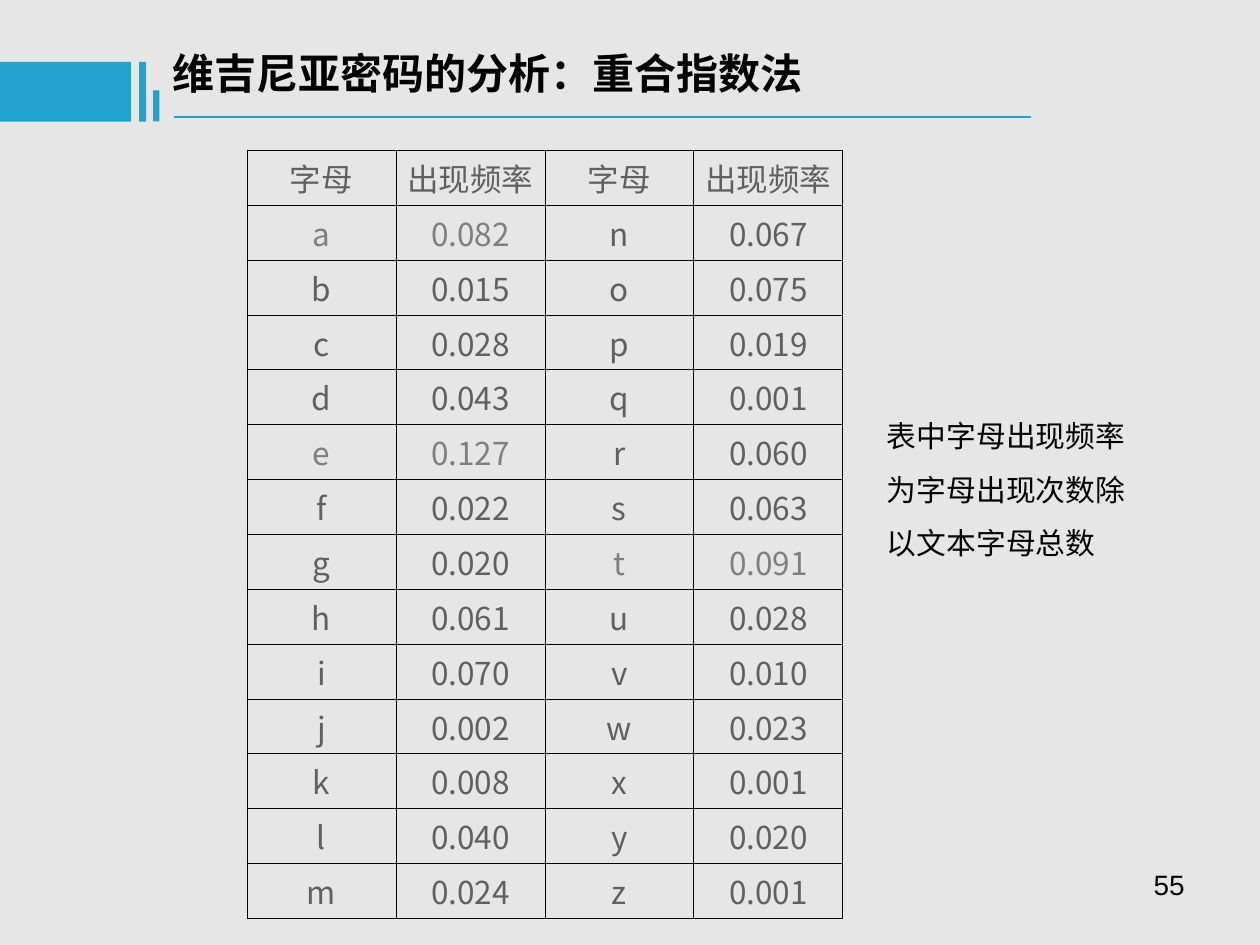
from dataclasses import dataclass

from lxml.etree import SubElement
from pptx import Presentation
from pptx.dml.color import RGBColor
from pptx.enum.shapes import MSO_CONNECTOR, MSO_SHAPE
from pptx.enum.text import MSO_ANCHOR, PP_ALIGN
from pptx.oxml.ns import qn
from pptx.util import Inches, Pt

W, H = Inches(10), Inches(7.5)
CJK, BLUE, BLACK = "Noto Sans CJK SC", "21A3D0", "000000"
GREY, LIGHT_GREY = "606060", "7F7F7F"
FREQUENT = 0.08
LETTERS = "abcdefghijklmnopqrstuvwxyz"
FREQUENCIES = (
    0.082, 0.015, 0.028, 0.043, 0.127, 0.022, 0.020, 0.061, 0.070, 0.002, 0.008, 0.040, 0.024,
    0.067, 0.075, 0.019, 0.001, 0.060, 0.063, 0.091, 0.028, 0.010, 0.023, 0.001, 0.020, 0.001,
)


@dataclass(frozen=True)
class Box:
    """Left, top, width and height in percent of the slide."""
    x: float
    y: float
    w: float
    h: float

    def emu(self) -> tuple:
        """Return the four lengths in EMU."""
        return tuple(int(v * full / 100) for v, full in
                     zip((self.x, self.y, self.w, self.h), (W, H, W, H)))


BARS = (Box(0, 6.56, 10.4, 6.33), Box(11.04, 6.56, 0.56, 6.33), Box(12.15, 9.56, 0.5, 3.3))


def rgb(color: str) -> RGBColor:
    """Turn a hex string into a colour."""
    return RGBColor.from_string(color)


def put_text(tf, text: str, *, size: float, font: str = CJK, color: str = BLACK,
             bold: bool = False, align=PP_ALIGN.LEFT, spacing: float = 1.0) -> None:
    """Write one formatted paragraph into a text frame."""
    p = tf.paragraphs[0]
    p.alignment, p.line_spacing = align, spacing
    r = p.add_run()
    r.text = text
    r.font.size, r.font.bold, r.font.name = Pt(size), bold, font
    r.font.color.rgb = rgb(color)
    SubElement(r.font._element, qn("a:ea"), typeface=font)


def add_text(shapes, box: Box, text: str, **style) -> None:
    """Add a wrapping text box."""
    tf = shapes.add_textbox(*box.emu()).text_frame
    tf.word_wrap = True
    tf.margin_left = tf.margin_right = Inches(0.1)
    tf.margin_top = tf.margin_bottom = Inches(0.05)
    put_text(tf, text, **style)


def add_bar(shapes, box: Box) -> None:
    """Add a plain blue rectangle."""
    sp = shapes.add_shape(MSO_SHAPE.RECTANGLE, *box.emu())
    sp.shadow.inherit = False
    sp.fill.solid()
    sp.fill.fore_color.rgb = rgb(BLUE)
    sp.line.fill.background()


def add_rule(shapes, box: Box) -> None:
    """Add the blue line under the title."""
    x, y, w, h = box.emu()
    ln = shapes.add_connector(MSO_CONNECTOR.STRAIGHT, x, y, x + w, y + h)
    ln.line.color.rgb, ln.line.width = rgb(BLUE), Pt(1.5)
    SubElement(ln._element.spPr, qn("a:effectLst"))


def fill_cell(cell, text: str, color: str) -> None:
    """Write a centred cell with a thin black border and no fill."""
    cell.vertical_anchor = MSO_ANCHOR.MIDDLE
    cell.margin_left = cell.margin_right = Inches(0.07)
    cell.margin_top = cell.margin_bottom = Inches(0.03)
    put_text(cell.text_frame, text, size=18, color=color, align=PP_ALIGN.CENTER)
    tc_pr = cell._tc.get_or_add_tcPr()
    for side in ("lnL", "lnR", "lnT", "lnB"):
        ln = SubElement(tc_pr, qn(f"a:{side}"), w=str(Pt(0.45)))
        SubElement(SubElement(ln, qn("a:solidFill")), qn("a:srgbClr"), val=BLACK)
    cell.fill.background()


def add_frequency_table(shapes, box: Box) -> None:
    """Add the letters and frequencies in two halves side by side."""
    half = len(LETTERS) // 2
    x, y, w, h = box.emu()
    table = shapes.add_table(half + 1, 4, x, y, w, h).table
    table.first_row = table.horz_banding = False
    for col in table.columns:
        col.width = w // 4
    for row in table.rows:
        row.height = h // (half + 1)
    for c, title in enumerate(("字母", "出现频率") * 2):
        fill_cell(table.cell(0, c), title, GREY)
    for i, (letter, value) in enumerate(zip(LETTERS, FREQUENCIES)):
        side, row = divmod(i, half)
        color = LIGHT_GREY if value > FREQUENT else GREY
        for c, text in enumerate((letter, f"{value:.3f}")):
            fill_cell(table.cell(row + 1, 2 * side + c), text, color)


def main() -> None:
    """Build the slide and save it."""
    prs = Presentation()
    prs.slide_width, prs.slide_height = W, H
    s = prs.slides.add_slide(prs.slide_layouts[6])
    s.background.fill.solid()
    s.background.fill.fore_color.rgb = rgb("E7E6E6")
    add_text(s.shapes, Box(71.7, 91.1, 23.3, 6.9), "55",
             size=16, font="Arial", align=PP_ALIGN.RIGHT)
    add_text(s.shapes, Box(69.4, 41.7, 22.2, 21.9),
             "表中字母出现频率为字母出现次数除以文本字母总数", size=17, spacing=1.5)
    add_frequency_table(s.shapes, Box(19.6, 15.9, 47.3, 81.3))
    header = s.shapes.add_group_shape().shapes
    add_text(header, Box(12.7, 4.4, 68.4, 6.7), "维吉尼亚密码的分析：重合指数法",
             size=24, bold=True, align=PP_ALIGN.JUSTIFY)
    for bar in BARS:
        add_bar(header, bar)
    add_rule(header, Box(13.8, 12.4, 68, 0))
    prs.save("out.pptx")


if __name__ == "__main__":
    main()
